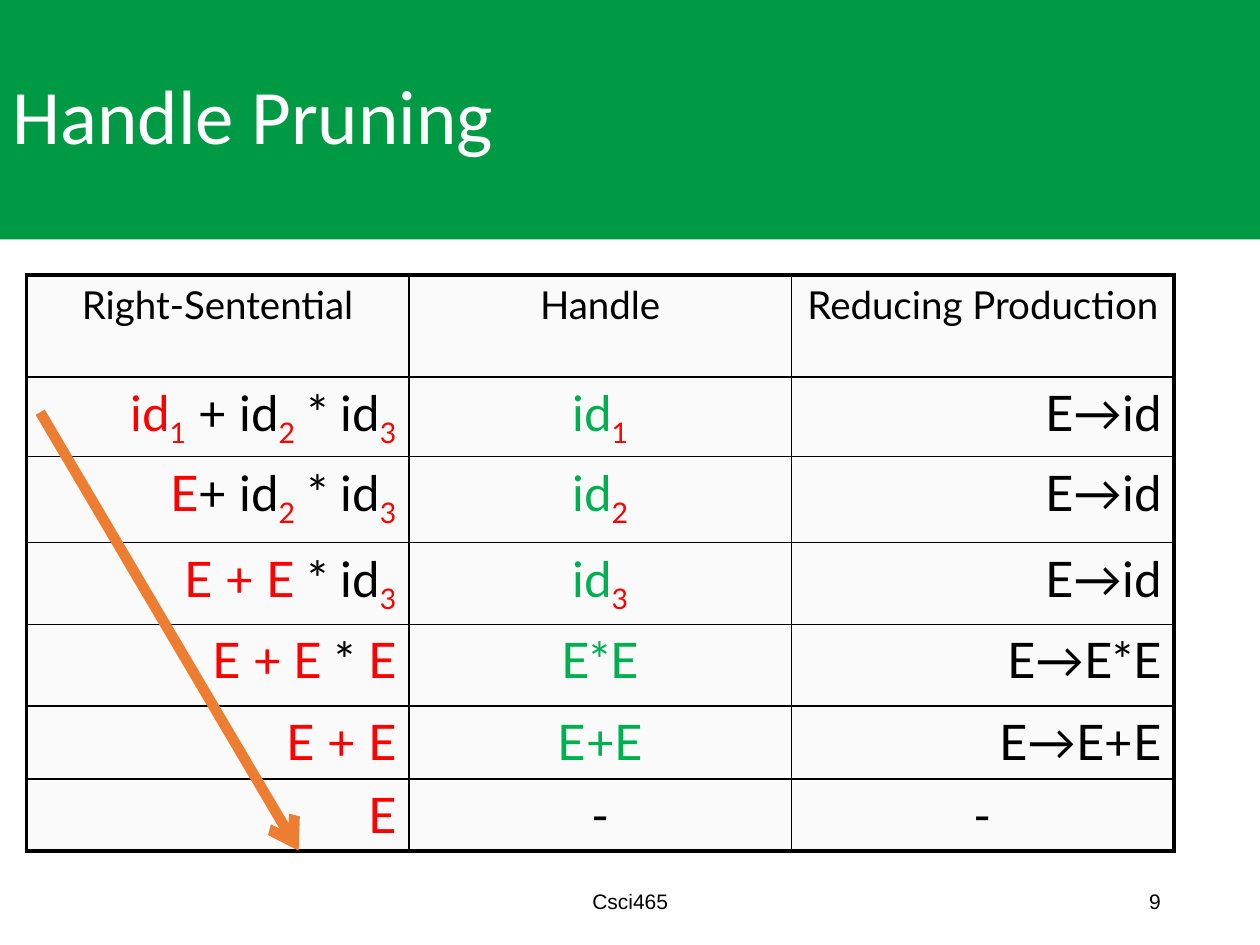
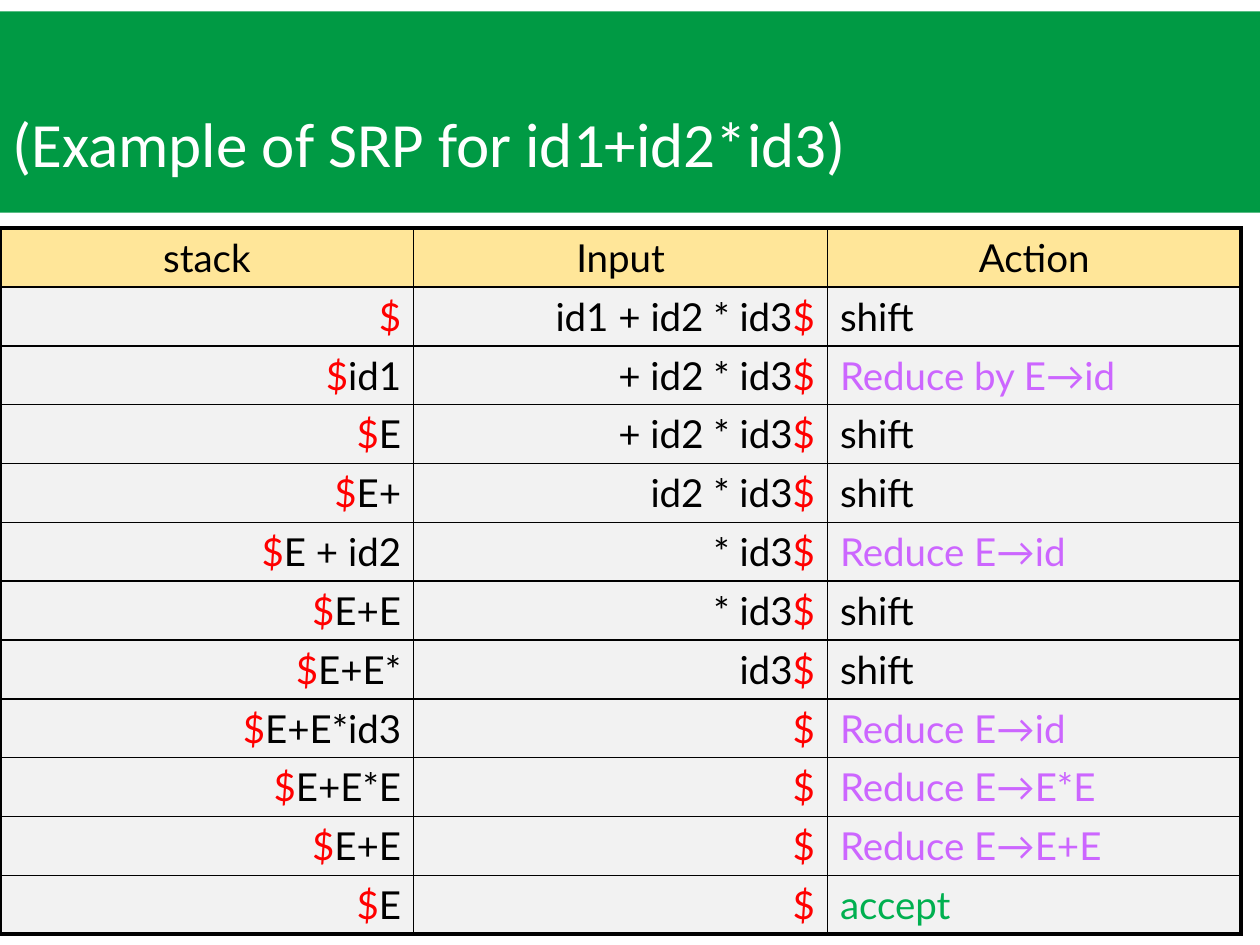
from lxml.etree import SubElement
from pptx import Presentation
from pptx.dml.color import RGBColor
from pptx.enum.shapes import MSO_CONNECTOR, MSO_SHAPE
from pptx.enum.text import MSO_ANCHOR, PP_ALIGN
from pptx.oxml.ns import qn
from pptx.util import Cm, Pt

COLOURS = {
    "band": "009A44",
    "title": "FFFFFF",
    "text": "000000",
    "symbol": "FF0000",
    "subscript": "FF0000",
    "handle": "00B050",
    "accept": "00B050",
    "reduce": "CC66FF",
    "arrow": "ED7D31",
    "pruning_cell": "FAFAFA",
    "parse_header": "FFE699",
    "parse_cell": "F2F2F2",
}
SLIDE_WIDTH, SLIDE_HEIGHT = 25.4, 19.05
OUTER_BORDER, INNER_BORDER = 2.25, 1
LEFT, CENTER, RIGHT = PP_ALIGN.LEFT, PP_ALIGN.CENTER, PP_ALIGN.RIGHT

PRUNING_HEADER = ["Right-Sentential", "Handle", "Reducing Production"]
PRUNING_HEIGHTS = [2.06, 1.45, 1.73, 1.65, 1.65, 1.47, 1.45]
ID_3 = [("* id", "text"), ("3", "subscript")]
ID_2_TIMES_ID_3 = [("+ id", "text"), ("2", "subscript"), (" * id", "text"), ("3", "subscript")]
PRUNING_STEPS = [
    ([("id", "symbol"), ("1", "subscript"), (" ", "text")] + ID_2_TIMES_ID_3, "id1", "E→id"),
    ([("E", "symbol")] + ID_2_TIMES_ID_3, "id2", "E→id"),
    ([("E + E ", "symbol")] + ID_3, "id3", "E→id"),
    ([("E + E ", "symbol"), ("* ", "text"), ("E", "symbol")], "E*E", "E→E*E"),
    ([("E + E", "symbol")], "E+E", "E→E+E"),
    ([("E", "symbol")], "-", "-"),
]

PARSE_HEADER = ["stack", "Input", "Action"]
PARSE_STEPS = [
    ("", "id1 + id2 * id3", "shift"),
    ("id1", "+ id2 * id3", "Reduce by E→id"),
    ("E", "+ id2 * id3", "shift"),
    ("E+", "id2 * id3", "shift"),
    ("E + id2", "* id3", "Reduce E→id"),
    ("E+E", "* id3", "shift"),
    ("E+E*", "id3", "shift"),
    ("E+E*id3", "", "Reduce E→id"),
    ("E+E*E", "", "Reduce E→E*E"),
    ("E+E", "", "Reduce E→E+E"),
    ("E", "", "accept"),
]


def rgb(name):
    return RGBColor.from_string(COLOURS[name])


def format_font(font, name, size, colour):
    font.name = name
    font.size = Pt(size)
    font.color.rgb = rgb(colour)


def add_title_band(slide, text, top, height, size, margin_top=0.13):
    band = slide.shapes.add_shape(
        MSO_SHAPE.RECTANGLE, Cm(0), Cm(top), Cm(SLIDE_WIDTH), Cm(height))
    band.shadow.inherit = False
    band.fill.solid()
    band.fill.fore_color.rgb = rgb("band")
    band.line.fill.background()
    frame = band.text_frame
    frame.word_wrap = True
    frame.vertical_anchor = MSO_ANCHOR.MIDDLE
    frame.margin_top = Cm(margin_top)
    frame.text = text
    para = frame.paragraphs[0]
    para.alignment = LEFT
    para.line_spacing = 0.9
    format_font(para.runs[0].font, "Calibri", size, "title")


def add_footer(slide, text, left, width, alignment):
    box = slide.shapes.add_textbox(Cm(left), Cm(17.65), Cm(width), Cm(1.02))
    frame = box.text_frame
    frame.word_wrap = True
    frame.vertical_anchor = MSO_ANCHOR.MIDDLE
    frame.text = text
    para = frame.paragraphs[0]
    para.alignment = alignment
    format_font(para.runs[0].font, "Arial", 12, "text")


def set_borders(cell, outer_sides):
    properties = cell._tc.get_or_add_tcPr()
    for side in "LRTB":
        width = OUTER_BORDER if side in outer_sides else INNER_BORDER
        line = SubElement(properties, qn(f"a:ln{side}"), w=str(Pt(width)))
        fill = SubElement(line, qn("a:solidFill"))
        SubElement(fill, qn("a:srgbClr"), val=COLOURS["text"])


def fill_cell(cell, pieces, alignment, size, background):
    cell.fill.solid()
    cell.fill.fore_color.rgb = rgb(background)
    para = cell.text_frame.paragraphs[0]
    para.alignment = alignment
    for text, colour in pieces:
        span = para.add_run()
        span.text = text
        format_font(span.font, "Lato", size, colour)
        if colour == "subscript":
            span._r.get_or_add_rPr().set("baseline", "-25000")


def add_grid(slide, left, top, width, heights, rows, header_fill, body_fill, body_size):
    last_row, last_column = len(rows) - 1, len(rows[0]) - 1
    table = slide.shapes.add_table(
        len(rows), len(rows[0]), Cm(left), Cm(top), Cm(width), Cm(sum(heights))).table
    table.first_row = False
    table.horz_banding = False
    for column in table.columns:
        column.width = Cm(width / len(rows[0]))
    for row_index, (row, height) in enumerate(zip(rows, heights)):
        table.rows[row_index].height = Cm(height)
        for column_index, (pieces, alignment) in enumerate(row):
            cell = table.cell(row_index, column_index)
            edges = {"L": column_index == 0, "R": column_index == last_column,
                     "T": row_index == 0, "B": row_index == last_row}
            set_borders(cell, [side for side, outer in edges.items() if outer])
            size, background = (22, header_fill) if row_index == 0 else (body_size, body_fill)
            fill_cell(cell, pieces, alignment, size, background)


def add_arrow(slide, start, end):
    arrow = slide.shapes.add_connector(
        MSO_CONNECTOR.STRAIGHT, *(Cm(value) for value in start + end))
    arrow.line.color.rgb = rgb("arrow")
    arrow.line.width = Pt(6)
    SubElement(arrow.line._get_or_add_ln(), qn("a:tailEnd"), type="arrow")
    SubElement(arrow._element.spPr, qn("a:effectLst"))


def header_row(labels):
    return [([(label, "text")], CENTER) for label in labels]


def pruning_row(sentential, handle, production):
    if handle.startswith("id"):
        handle_pieces = [("id", "handle"), (handle[2:], "subscript")]
    else:
        handle_pieces = [(handle, "text" if handle == "-" else "handle")]
    production_side = CENTER if production == "-" else RIGHT
    return [(sentential, RIGHT), (handle_pieces, CENTER),
            ([(production, "text")], production_side)]


def parse_row(stack, remaining, action):
    end_mark = [("$", "symbol")]
    stack_pieces = end_mark + ([(stack, "text")] if stack else [])
    input_pieces = ([(remaining, "text")] if remaining else []) + end_mark
    action_colour = {"shift": "text", "accept": "accept"}.get(action, "reduce")
    return [(stack_pieces, RIGHT), (input_pieces, RIGHT), ([(action, action_colour)], LEFT)]


def build_pruning_slide(slide):
    add_footer(slide, "Csci465", 8.41, 8.59, CENTER)
    add_footer(slide, "9", 17.93, 5.72, RIGHT)
    add_title_band(slide, "Handle Pruning", 0, 4.83, 44)
    rows = [header_row(PRUNING_HEADER)] + [pruning_row(*step) for step in PRUNING_STEPS]
    add_grid(slide, 0.53, 5.54, 23.14, PRUNING_HEIGHTS, rows,
             "pruning_cell", "pruning_cell", 28)
    add_arrow(slide, (0.81, 8.31), (6.02, 17.15))


def build_parse_slide(slide):
    add_title_band(slide, "(Example of SRP for id1+id2*id3)", 0.23, 4.06, 36, 1.53)
    rows = [header_row(PARSE_HEADER)] + [parse_row(*step) for step in PARSE_STEPS]
    heights = [14.22 / len(rows)] * len(rows)
    add_grid(slide, 0, 4.6, 25.02, heights, rows, "parse_header", "parse_cell", 22)


def main():
    deck = Presentation()
    deck.slide_width, deck.slide_height = Cm(SLIDE_WIDTH), Cm(SLIDE_HEIGHT)
    blank = deck.slide_layouts[6]
    for build in (build_pruning_slide, build_parse_slide):
        build(deck.slides.add_slide(blank))
    deck.save("out.pptx")


if __name__ == "__main__":
    main()
